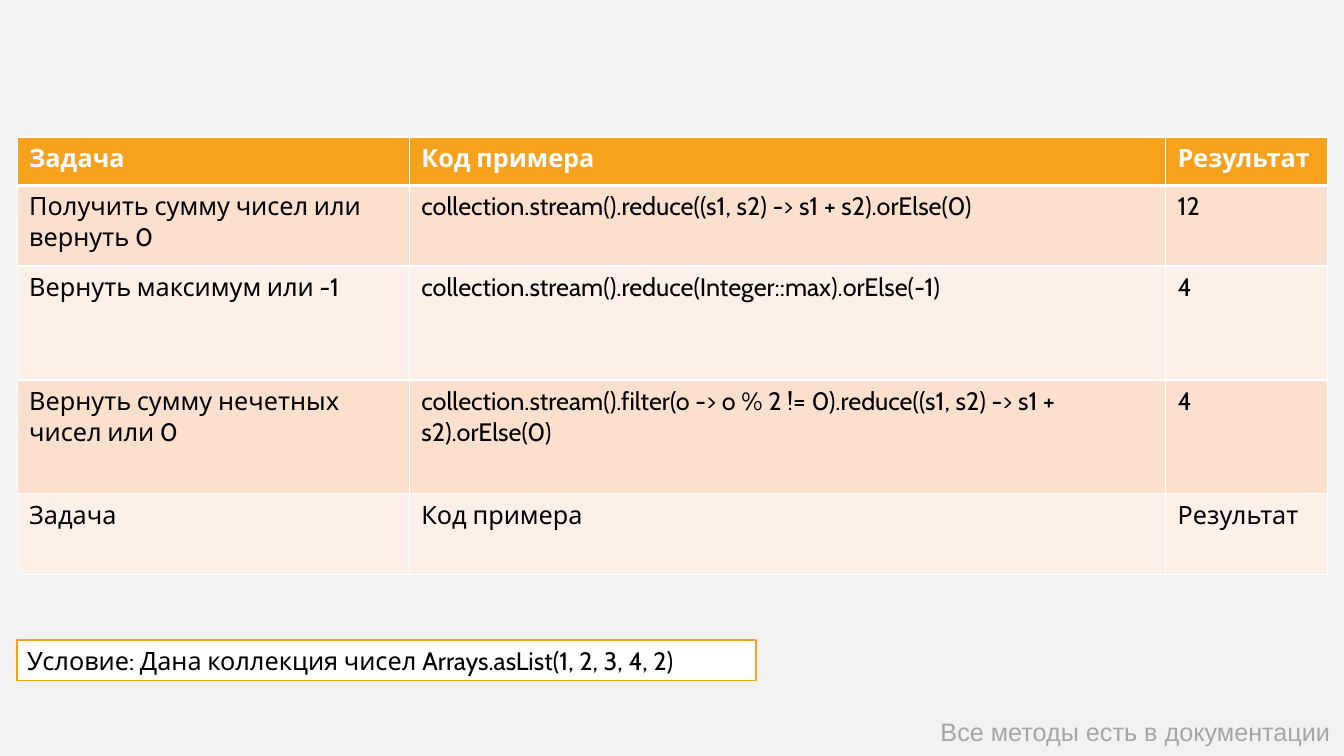
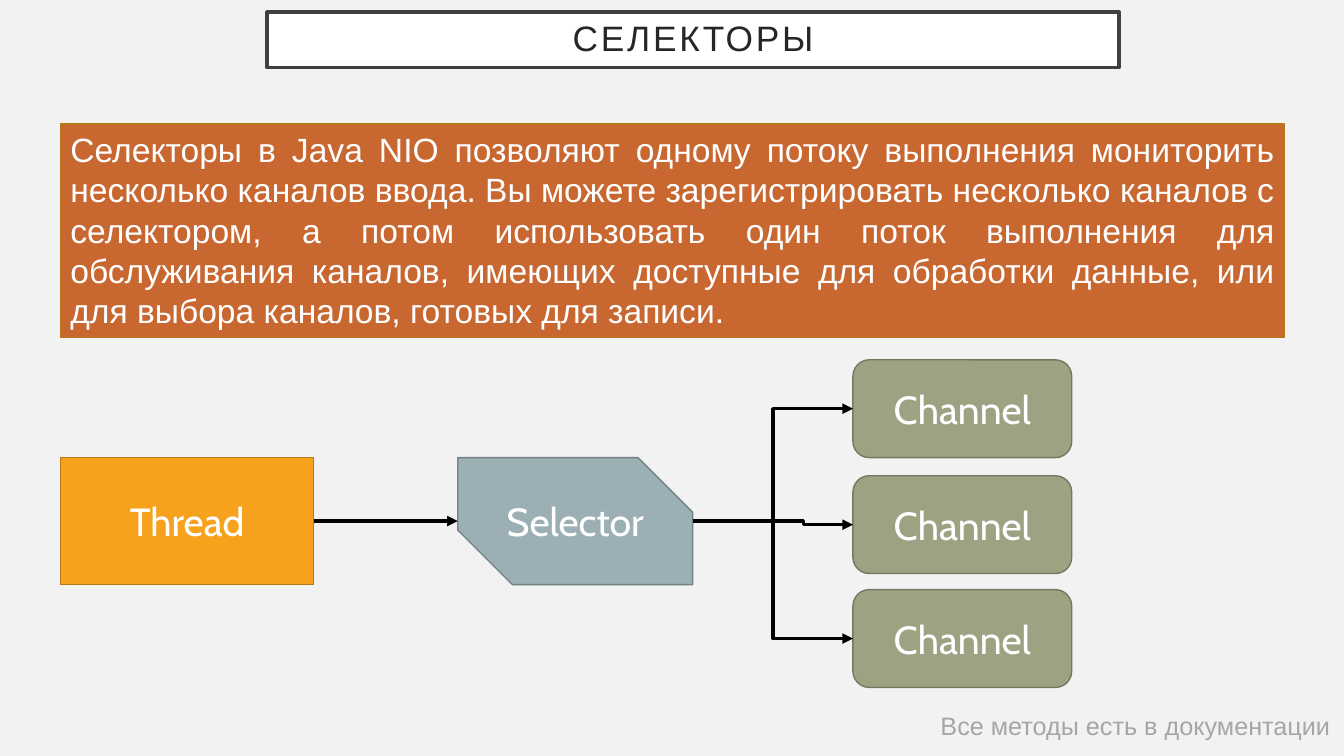
import lxml.etree
import pptx
import pptx.dml.color
import pptx.enum.shapes
import pptx.enum.text
import pptx.oxml.ns
import pptx.util

Inches = pptx.util.Inches
Pt = pptx.util.Pt
SHAPES = pptx.enum.shapes.MSO_SHAPE
CONNECTORS = pptx.enum.shapes.MSO_CONNECTOR
ALIGN = pptx.enum.text.PP_ALIGN
ANCHOR = pptx.enum.text.MSO_ANCHOR
FIT = pptx.enum.text.MSO_AUTO_SIZE

COLORS = {
    "background": "F2F2F2", "white": "FFFFFF", "black": "000000",
    "orange": "F6A21D", "orange_edge": "B67815", "rust": "C96731",
    "steel": "9BAFB5", "steel_edge": "738186",
    "sage": "9CA383", "sage_edge": "737961",
    "band_dark": "FBE0CD", "band_light": "FDF0E8",
    "title_text": "262626", "title_edge": "404040", "footer": "A6A6A6",
}
HEADING_FONT, BODY_FONT = "Arial", "Cabin"

TASKS = [
    ("Задача", "Код примера", "Результат"),
    ("Получить сумму чисел или вернуть 0",
     "collection.stream().reduce((s1, s2) -> s1 + s2).orElse(0)", "12"),
    ("Вернуть максимум или -1",
     "collection.stream().reduce(Integer::max).orElse(-1)", "4"),
    ("Вернуть сумму нечетных чисел или 0",
     "collection.stream().filter(o -> o % 2 != 0)"
     ".reduce((s1, s2) -> s1 + s2).orElse(0)", "4"),
    ("Задача", "Код примера", "Результат"),
]
SELECTOR_TEXT = (
    "Селекторы в Java NIO позволяют одному потоку выполнения мониторить "
    "несколько каналов ввода. Вы можете зарегистрировать несколько каналов "
    "с селектором, а потом использовать один поток выполнения для "
    "обслуживания каналов, имеющих доступные для обработки данные, или для "
    "выбора каналов, готовых для записи."
)


# Shared helpers
def rgb(name):
    return pptx.dml.color.RGBColor.from_string(COLORS[name])


def sub(parent, tag, **attributes):
    return lxml.etree.SubElement(parent, pptx.oxml.ns.qn(tag), attributes)


def write(frame, text, size, color, font=BODY_FONT, align=ALIGN.LEFT, bold=False):
    frame.text = text
    paragraph = frame.paragraphs[0]
    paragraph.alignment = align
    paragraph.font.name = font
    paragraph.font.size = Pt(size)
    paragraph.font.bold = bold
    paragraph.font.color.rgb = rgb(color)
    return paragraph


def paint(shape, fill, edge, width=1):
    shape.fill.solid()
    shape.fill.fore_color.rgb = rgb(fill)
    shape.line.color.rgb = rgb(edge)
    shape.line.width = Pt(width)


def add_box(slide, kind, box, fill, edge):
    shape = slide.shapes.add_shape(kind, *map(Inches, box))
    shape.shadow.inherit = False
    paint(shape, fill, edge)
    return shape


def add_panel(slide, box, fill, edge, text, size, color, font, align=ALIGN.LEFT):
    """Text panel, anchored at the top, that grows with its text."""
    panel = add_box(slide, SHAPES.RECTANGLE, box, fill, edge)
    frame = panel.text_frame
    frame.word_wrap = True
    frame.auto_size = FIT.SHAPE_TO_FIT_TEXT
    frame.vertical_anchor = ANCHOR.TOP
    write(frame, text, size, color, font, align)


def add_footer(slide, top):
    footer = slide.shapes.add_textbox(
        Inches(9.23), Inches(top), Inches(4.1), Inches(0.4))
    footer.text_frame.word_wrap = False
    footer.text_frame.auto_size = FIT.SHAPE_TO_FIT_TEXT
    write(footer.text_frame, "Все методы есть в документации", 18, "footer",
          HEADING_FONT)


def set_title(slide, box, text):
    title = slide.shapes.title
    title.left, title.top, title.width, title.height = map(Inches, box)
    paint(title, "white", "title_edge", 2.5)
    frame = title.text_frame
    frame.auto_size = FIT.NONE
    frame.vertical_anchor = ANCHOR.MIDDLE
    frame.margin_left = frame.margin_right = Inches(0.2)
    frame.margin_top = frame.margin_bottom = Inches(0.2)
    paragraph = write(frame, text, 25.2, "title_text", HEADING_FONT, ALIGN.CENTER)
    paragraph.line_spacing = 0.9
    paragraph.runs[0]._r.get_or_add_rPr().set("spc", "200")


# Task table
def border_cell(cell, **widths):
    properties = cell._tc.get_or_add_tcPr()
    for side in "LRTB":
        edge = sub(properties, f"a:ln{side}", w=str(Pt(widths.get(side, 1))))
        sub(sub(edge, "a:solidFill"), "a:srgbClr", val=COLORS["white"])


def add_task_table(slide, left, top):
    widths, heights = [3.89, 7.5, 1.61], [0.48, 0.8, 1.13, 1.13, 0.8]
    table = slide.shapes.add_table(
        len(heights), len(widths), Inches(left), Inches(top),
        Inches(sum(widths)), Inches(sum(heights))).table
    for column, width in zip(table.columns, widths):
        column.width = Inches(width)
    for index, (row, height, texts) in enumerate(zip(table.rows, heights, TASKS)):
        row.height = Inches(height)
        header = index == 0
        band = "orange" if header else ("band_light", "band_dark")[index % 2]
        for cell, text in zip(row.cells, texts):
            border_cell(cell, B=3 if header else 1, T=3 if index == 1 else 1)
            cell.fill.solid()
            cell.fill.fore_color.rgb = rgb(band)
            cell.margin_left = cell.margin_right = Inches(0.12)
            cell.margin_top, cell.margin_bottom = Inches(0.06), Inches(0.09)
            write(cell.text_frame, text, 18, "white" if header else "black",
                  bold=header)


# Selector diagram
def add_node(slide, kind, box, fill, text):
    node = add_box(slide, kind, box, fill, f"{fill}_edge")
    node.text_frame.word_wrap = True
    node.text_frame.vertical_anchor = ANCHOR.MIDDLE
    write(node.text_frame, text, 28, "white", align=ALIGN.CENTER)
    return node


def add_arrow(slide, kind, start, end, bend=None):
    arrow = slide.shapes.add_connector(kind, *start, *end)
    arrow.line.color.rgb = rgb("black")
    arrow.line.width = Pt(2.5)
    sub(arrow.line._get_or_add_ln(), "a:tailEnd", type="triangle")
    properties = arrow._element.spPr
    sub(properties, "a:effectLst")
    if bend is not None:
        guides = properties.find(".//" + pptx.oxml.ns.qn("a:avLst"))
        sub(guides, "a:gd", name="adj1", fmla=f"val {round(bend * 100000)}")
    return arrow


def left_middle(shape):
    return shape.left, shape.top + shape.height // 2


def right_middle(shape):
    return shape.left + shape.width, shape.top + shape.height // 2


def add_selector_diagram(slide, left, top):
    node_top = top + 0.97
    thread = add_node(slide, SHAPES.RECTANGLE, (left, node_top, 2.51, 1.26),
                      "orange", "Thread")
    selector = add_node(slide, SHAPES.SNIP_2_DIAG_RECTANGLE,
                        (left + 3.94, node_top, 2.33, 1.26), "steel", "Selector")
    selector.adjustments[0], selector.adjustments[1] = 0, 0.43
    feed = add_arrow(slide, CONNECTORS.STRAIGHT,
                     right_middle(thread), left_middle(selector))
    feed.begin_connect(thread, 3)

    for offset, bend in ((0, 0.5), (1.15, 0.69), (2.28, 0.5)):
        channel = add_node(slide, SHAPES.ROUNDED_RECTANGLE,
                           (left + 7.86, top + offset, 2.17, 0.97),
                           "sage", "Channel")
        add_arrow(slide, CONNECTORS.ELBOW,
                  right_middle(selector), left_middle(channel), bend)


# Slides
def build_task_slide(prs):
    slide = prs.slides.add_slide(prs.slide_layouts[6])
    add_footer(slide, 7.06)
    add_task_table(slide, 0.17, 1.36)
    add_panel(slide, (0.17, 6.35, 7.33, 0.4), "white", "orange",
              "Условие: Дана коллекция чисел Arrays.asList(1, 2, 3, 4, 2)",
              18, "black", BODY_FONT)


def build_selector_slide(prs):
    slide = prs.slides.add_slide(prs.slide_layouts[5])
    set_title(slide, (2.65, 0.12, 8.45, 0.55), "СЕЛЕКТОРЫ")
    add_footer(slide, 7)
    add_panel(slide, (0.6, 1.23, 12.14, 2.12), "rust", "orange_edge",
              SELECTOR_TEXT, 24, "white", HEADING_FONT, ALIGN.JUSTIFY)
    add_selector_diagram(slide, 0.6, 3.57)


def main():
    prs = pptx.Presentation()
    prs.slide_width, prs.slide_height = Inches(13.33), Inches(7.5)
    background = prs.slide_master.background.fill
    background.solid()
    background.fore_color.rgb = rgb("background")
    build_task_slide(prs)
    build_selector_slide(prs)
    prs.save("out.pptx")


if __name__ == "__main__":
    main()
